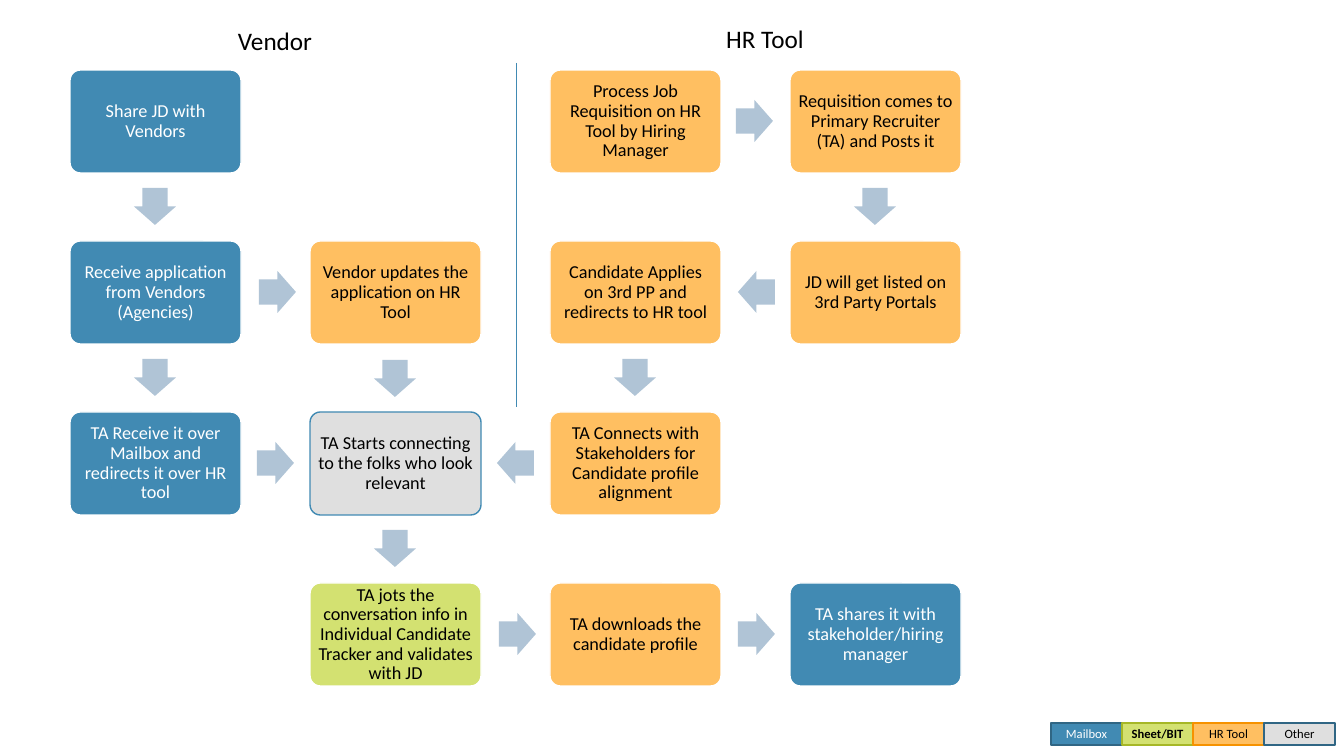
from pptx import Presentation
from pptx.dml.color import RGBColor as Rgb
from pptx.enum.shapes import MSO_CONNECTOR as Link, MSO_SHAPE as Kind
from pptx.enum.text import MSO_ANCHOR as Anchor, PP_ALIGN as Align
from pptx.util import Pt
from lxml.etree import SubElement
from pptx.oxml.ns import qn

BLUE, GOLD, LIME, GREY = "418AB3", "FFBF61", "D3E171", "DFDFDF"
BLACK, WHITE, STEEL, NAVY = "000000", "FFFFFF", "B0C4D6", "306684"
WIDE, HIGH, STEP, DROP = 171, 103, 240, 171
LONG, SPAN = 37, 42

STEPS = [
    (0, 0, BLUE, "Share JD with Vendors"),
    (0, 1, BLUE, "Receive application from Vendors (Agencies)"),
    (0, 2, BLUE, "TA Receive it over Mailbox and redirects it over HR tool"),
    (1, 1, GOLD, "Vendor updates the application on HR Tool"),
    (1, 2, GREY, "TA Starts connecting to the folks who look relevant"),
    (1, 3, LIME, "TA jots the conversation info in Individual Candidate "
                 "Tracker and validates with JD"),
    (2, 0, GOLD, "Process Job Requisition on HR Tool by Hiring Manager"),
    (2, 1, GOLD, "Candidate Applies on 3rd PP and redirects to HR tool"),
    (2, 2, GOLD, "TA Connects with Stakeholders for Candidate profile alignment"),
    (2, 3, GOLD, "TA downloads the candidate profile"),
    (3, 0, GOLD, "Requisition comes to Primary Recruiter (TA) and Posts it"),
    (3, 1, GOLD, "JD will get listed on 3rd Party Portals"),
    (3, 3, BLUE, "TA shares it with stakeholder/hiring manager"),
]
RIGHT, LEFT, DOWN = Kind.RIGHT_ARROW, Kind.LEFT_ARROW, Kind.DOWN_ARROW
ARROWS = [
    (RIGHT, 0, 1, 18), (RIGHT, 0, 2, 16), (LEFT, 1, 2, 16),
    (RIGHT, 1, 3, 18), (RIGHT, 2, 0, 15), (LEFT, 2, 1, 17),
    (RIGHT, 2, 3, 17), (DOWN, 0, 0, 15), (DOWN, 0, 1, 15),
    (DOWN, 1, 1, 16), (DOWN, 1, 2, 15), (DOWN, 2, 1, 15),
    (DOWN, 3, 0, 15),
]
KEYS = [
    ("Mailbox", BLUE, NAVY, WHITE, False),
    ("Sheet/BIT", LIME, "A6B727", BLACK, True),
    ("HR Tool", GOLD, "F69200", BLACK, False),
    ("Other", GREY, NAVY, BLACK, False),
]


def px(num):
    return round(num * 12192000 / 1344)


def paint(code):
    return Rgb.from_string(code)


def write(shape, text, size, color, bold=False, pad=0, lead=1.0):
    frame = shape.text_frame
    frame.word_wrap = True
    frame.vertical_anchor = Anchor.MIDDLE
    frame.margin_left = frame.margin_right = px(pad)
    frame.margin_top = frame.margin_bottom = px(pad)
    para = frame.paragraphs[0]
    para.alignment = Align.CENTER
    para.line_spacing = lead
    run = para.add_run()
    run.text = text
    font = run.font
    font.name, font.size, font.bold = "Calibri", Pt(size), bold
    font.color.rgb = paint(color)


def block(shapes, kind, box, fill, edge=None):
    shape = shapes.add_shape(kind, *map(px, box))
    shape.shadow.inherit = False
    shape.fill.solid()
    shape.fill.fore_color.rgb = paint(fill)
    if edge:
        shape.line.color.rgb = paint(edge)
        shape.line.width = Pt(1)
    else:
        shape.line.fill.background()
    return shape


def flow(shapes, left, top):
    for col, row, fill, text in STEPS:
        box = left + col * STEP, top + row * DROP, WIDE, HIGH
        edge = BLUE if fill == GREY else WHITE
        card = block(shapes, Kind.ROUNDED_RECTANGLE, box, fill, edge)
        card.adjustments[0] = 0.1
        write(card, text, 13, WHITE if fill == BLUE else BLACK, pad=5, lead=0.9)
    for kind, col, row, gap in ARROWS:
        x, y = left + col * STEP, top + row * DROP
        if kind == DOWN:
            box = x + (WIDE - SPAN) // 2, y + HIGH + gap, SPAN, LONG
        else:
            box = x + WIDE + gap, y + (HIGH - SPAN) // 2, LONG, SPAN
        arrow = block(shapes, kind, box, STEEL)
        arrow.adjustments[0] = 0.6
        arrow.adjustments[1] = 0.5


def heads(shapes, left, top):
    for text, x, y, wide in [("Vendor", 0, 2, 96), ("HR Tool", 482, 0, 112)]:
        label = shapes.add_textbox(px(left + x), px(top + y), px(wide), px(40))
        write(label, text, 18, BLACK)
    x, y = px(left + 289), px(top + 45)
    rule = shapes.add_connector(Link.STRAIGHT, x, y, x, y + px(344))
    rule.line.color.rgb = paint(BLUE)
    rule.line.width = Pt(0.5)
    SubElement(rule._element.spPr, qn("a:effectLst"))


def legend(shapes, left, top, wide, high):
    group = shapes.add_group_shape()
    for i, (text, fill, edge, color, bold) in enumerate(KEYS):
        box = left + i * wide, top, wide, high
        cell = block(group.shapes, Kind.RECTANGLE, box, fill, edge)
        write(cell, text, 9, color, bold)


deck = Presentation()
deck.slide_width, deck.slide_height = px(1344), px(756)
slide = deck.slides.add_slide(deck.slide_layouts[6])
flow(slide.shapes, 70, 70)
heads(slide.shapes, 227, 18)
legend(slide.shapes, 1051, 723, 71, 22)
deck.save("out.pptx")
